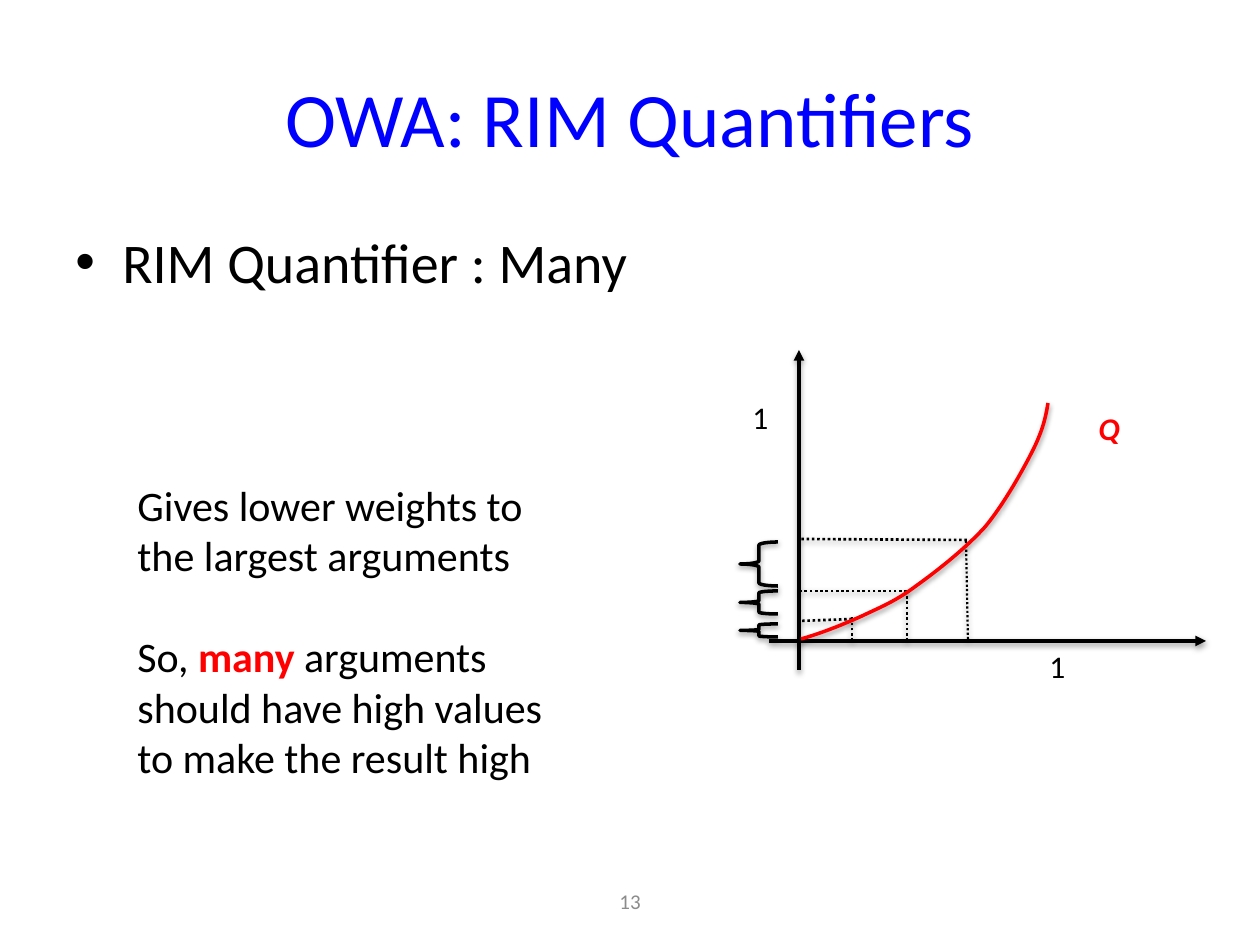
from lxml.etree import SubElement as Sub
from pptx import Presentation
from pptx.dml.color import RGBColor as RGB
from pptx.enum.dml import MSO_LINE as Dash
from pptx.enum.shapes import MSO_CONNECTOR as Conn, MSO_SHAPE as Kind
from pptx.enum.text import MSO_ANCHOR as Anchor, PP_ALIGN as Align
from pptx.oxml import parse_xml
from pptx.oxml.ns import nsdecls, qn
from pptx.util import Emu, Pt

SCALE = 914400 / 126
BLACK = RGB(0, 0, 0)
BLUE = RGB(0, 0, 255)
RED = RGB(255, 0, 0)
GRAY = RGB(140, 140, 140)
SHADOW = (
    f'<a:effectLst {nsdecls("a")}>'
    '<a:outerShdw blurRad="40000" dist="20000" dir="5400000" rotWithShape="0">'
    '<a:srgbClr val="000000"><a:alpha val="38000"/></a:srgbClr>'
    '</a:outerShdw></a:effectLst>'
)


def emu(*vals):
    return [Emu(round(v * SCALE)) for v in vals]


class Board:
    """Draws styled elements on the current slide."""

    def __init__(self, slide, font="Calibri"):
        self.slide = slide
        self.shapes = slide.shapes
        self.font = font

    def run(self, para, text, size, color=BLACK, **form):
        run = para.add_run()
        run.text = text
        run.font.color.rgb = color
        for key, val in {"name": self.font, "size": Pt(size), **form}.items():
            setattr(run.font, key, val)

    def title(self, text, box, size, color):
        head = self.shapes.title
        for key, val in zip(("left", "top", "width", "height"), emu(*box)):
            setattr(head, key, val)
        head.text_frame.vertical_anchor = Anchor.MIDDLE
        para = head.text_frame.paragraphs[0]
        para.alignment = Align.CENTER
        self.run(para, text, size, color)

    def text(self, box, paras, size, wrap=True, gap=0, align=Align.LEFT, anchor=Anchor.TOP):
        frame = self.shapes.add_textbox(*emu(*box)).text_frame
        frame.word_wrap = wrap
        frame.vertical_anchor = anchor
        for i, runs in enumerate(paras):
            para = frame.add_paragraph() if i else frame.paragraphs[0]
            para.alignment = align
            if i:
                para.space_before = Pt(gap)
            for text, color, form in runs:
                self.run(para, text, size, color, **form)
        return frame

    def bullet(self, box, text, size, indent):
        para = self.text(box, [[(text, BLACK, {})]], size).paragraphs[0]
        props = para._p.get_or_add_pPr()
        step = emu(indent)[0]
        props.set("marL", str(step))
        props.set("indent", str(-step))
        Sub(props, qn("a:buFont"), typeface="Arial")
        Sub(props, qn("a:buChar"), char="•")

    def stroke(self, shape, color, width, dash=None):
        shape.line.color.rgb = color
        shape.line.width = Pt(width)
        if dash:
            shape.line.dash_style = dash
        shape._element.spPr.append(parse_xml(SHADOW))

    def line(self, ends, width, dash=None):
        link = self.shapes.add_connector(Conn.STRAIGHT, *emu(*ends))
        self.stroke(link, BLACK, width, dash)
        return link

    def axis(self, ends):
        link = self.line(ends, 2)
        Sub(link.line._get_or_add_ln(), qn("a:tailEnd"), type="triangle")

    def brace(self, top, height):
        shape = self.shapes.add_shape(Kind.LEFT_BRACE, *emu(740, top, 38, height))
        shape.fill.background()
        self.stroke(shape, BLACK, 2)

    def curve(self, start, points):
        pen = self.shapes.build_freeform(*start, scale=SCALE)
        pen.add_line_segments(points, close=False)
        shape = pen.convert_to_shape()
        shape.fill.background()
        self.stroke(shape, RED, 2)
        legs = shape._element.xpath(".//a:lnTo")
        for i in range(0, len(legs), 3):
            bend = Sub(legs[i].getparent(), qn("a:cubicBezTo"))
            for leg in legs[i:i + 3]:
                bend.append(leg[0])
                leg.getparent().remove(leg)


def main():
    deck = Presentation()
    deck.slide_width, deck.slide_height = emu(1260, 945)
    board = Board(deck.slides.add_slide(deck.slide_layouts[5]))

    board.title("OWA: RIM Quantifiers", (63, 38, 1134, 158), 44, BLUE)
    board.bullet((63, 221, 1134, 624), "RIM Quantifier : Many", 32, 47)
    board.text((483, 876, 294, 50), [[("13", GRAY, {})]], 12,
               align=Align.CENTER, anchor=Anchor.MIDDLE)
    board.text((125, 473, 446, 318), [
        [("Gives lower weights to the largest arguments", BLACK, {})],
        [("So, ", BLACK, {}), ("many", RED, {"bold": True}),
         (" arguments should have high values to make the result high", BLACK, {})],
    ], 24, gap=29)

    for ends in ((769, 641, 1206, 641), (799, 670, 799, 350)):
        board.axis(ends)
    for text, x, y, color, form in (
        ("1", 1037, 641, BLACK, {}),
        ("1", 740, 392, BLACK, {}),
        ("Q", 1086, 403, RED, {"bold": True, "italic": True}),
    ):
        board.text((x, y, 42, 50), [[(text, color, form)]], 18, wrap=False)

    for ends, width in (
        ((852, 641, 852, 616), 1.5),
        ((907, 591, 907, 641), 1.5),
        ((966, 541, 968, 641), 1.25),
        ((852, 619, 799, 621), 1.5),
        ((907, 591, 799, 591), 1.5),
        ((967, 540, 799, 539), 1.5),
    ):
        board.line(ends, width, Dash.ROUND_DOT)

    board.curve((801, 639), [
        (822, 633), (842, 625), (862, 616),
        (881, 607), (896, 601), (916, 586),
        (937, 571), (965, 549), (985, 527),
        (1004, 504), (1023, 470), (1033, 450),
        (1043, 430), (1046, 416), (1048, 403),
    ])
    for top, height in ((591, 23), (624, 13), (542, 44)):
        board.brace(top, height)

    deck.save("out.pptx")


if __name__ == "__main__":
    main()
